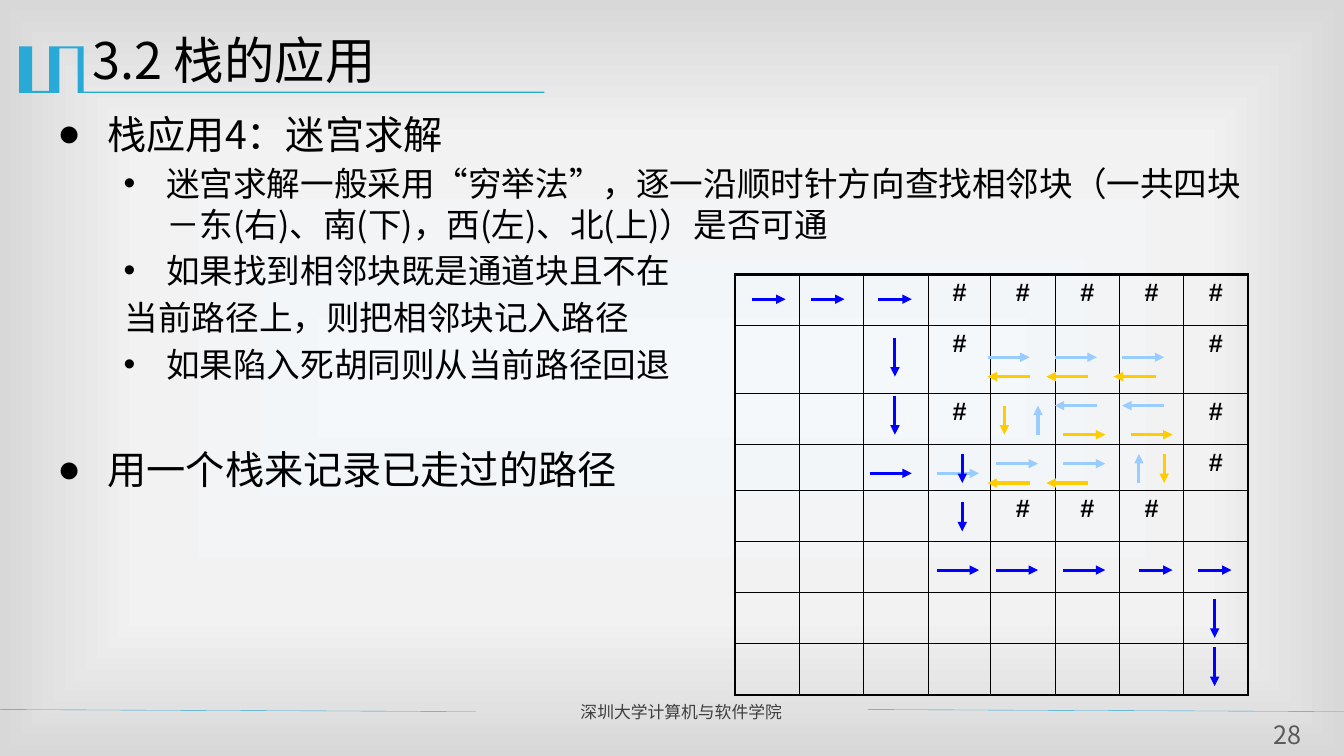
from typing import NamedTuple

from lxml import etree
from pptx import Presentation
from pptx.dml.color import RGBColor
from pptx.enum.shapes import MSO_CONNECTOR
from pptx.enum.text import MSO_ANCHOR, MSO_AUTO_SIZE, PP_ALIGN
from pptx.oxml.ns import qn
from pptx.util import Cm, Pt

STRAIGHT = MSO_CONNECTOR.STRAIGHT
TOP, MIDDLE = MSO_ANCHOR.TOP, MSO_ANCHOR.MIDDLE
LEFT, CENTER, JUSTIFY = PP_ALIGN.LEFT, PP_ALIGN.CENTER, PP_ALIGN.JUSTIFY
NO_AUTOFIT = MSO_AUTO_SIZE.NONE

FONT = "Noto Sans CJK SC"
BLACK, ACCENT = "000000", "28A9D6"
PATH, TRIED, BACK = "0000FF", "99CCFF", "FFCC00"


class Line(NamedTuple):
    text: str
    size: float
    margin: float
    indent: float
    bullet: str = ""
    before: float = 0


class Arrow(NamedTuple):
    """Start and end in steps of the arrow grid."""
    x1: int
    y1: int
    x2: int
    y2: int


LINES = [
    Line("栈应用4：迷宫求解", 28, 1.27, -1.27, "●"),
    Line("迷宫求解一般采用“穷举法”，逐一沿顺时针方向查找相邻块"
         "（一共四块－东(右)、南(下)，西(左)、北(上)）是否可通", 24, 2.74, -1.07, "•", 4.5),
    Line("如果找到相邻块既是通道块且不在", 24, 2.74, -1.07, "•", 4.5),
    Line("当前路径上，则把相邻块记入路径", 24, 1.7, 0, "", 4.5),
    Line("如果陷入死胡同则从当前路径回退", 24, 2.74, -1.07, "•", 4.5),
    Line("用一个栈来记录已走过的路径", 28, 1.27, -1.27, "●", 44),
]
MAZE = ["...#####", "...#...#", "...#...#", ".......#",
        "....###.", "........", "........", "........"]
COLS = [1.62, 1.62, 1.63, 1.58, 1.62, 1.62, 1.62, 1.62]
ROWS = [1.28, 1.71, 1.29, 1.16, 1.28, 1.29, 1.29, 1.29]
ARROWS = {
    TRIED: [(22, 18, 27, 18), (29, 17, 34, 17), (37, 17, 42, 17), (46, 19, 46, 16),
            (49, 11, 44, 11), (41, 11, 36, 11), (34, 14, 34, 11), (28, 6, 33, 6),
            (36, 6, 41, 6), (44, 6, 49, 6)],
    BACK: [(48, 8, 43, 8), (40, 8, 35, 8), (33, 8, 28, 8), (30, 11, 30, 14),
           (37, 14, 42, 14), (45, 14, 50, 14), (49, 16, 49, 19), (40, 19, 35, 19),
           (33, 19, 28, 19)],
    PATH: [(0, 0, 4, 0), (7, 0, 11, 0), (15, 0, 19, 0), (17, 4, 17, 8),
           (17, 10, 17, 14), (14, 18, 19, 18), (25, 16, 25, 19), (25, 21, 25, 24),
           (22, 28, 27, 28), (29, 28, 34, 28), (37, 28, 42, 28), (46, 28, 50, 28),
           (53, 28, 57, 28), (55, 31, 55, 35), (55, 36, 55, 40)],
}
LOGO = [(2.08, 1.17), (2.11, 1.17), (2.11, 2.31), (13.72, 2.31), (13.72, 2.34),
        (1.96, 2.34), (1.96, 1.22), (1.5, 1.22), (1.5, 2.34), (0.48, 2.34),
        (0.48, 1.17), (0.81, 1.17), (0.81, 2.29), (1.24, 2.29), (1.24, 1.17)]


def rgb(color: str) -> RGBColor:
    return RGBColor.from_string(color)


def add_el(parent, tag: str, **attrs):
    return etree.SubElement(parent, qn(tag), attrs)


def write(p, text: str, *, size: float, color: str = BLACK, font: str = FONT,
          bold: bool = False, align=LEFT) -> None:
    p.alignment = align
    r = p.add_run()
    r.text = text
    r.font.size, r.font.bold, r.font.name = Pt(size), bold, font
    r.font.color.rgb = rgb(color)
    add_el(r.font._element, "a:ea", typeface=font)


def place(sp, left: float, top: float, width: float, height: float) -> None:
    sp.left, sp.top, sp.width, sp.height = Cm(left), Cm(top), Cm(width), Cm(height)


def add_line(slide, x1: float, y1: float, x2: float, y2: float, color: str,
             width: float, arrow: bool = False) -> None:
    sp = slide.shapes.add_connector(STRAIGHT, Cm(x1), Cm(y1), Cm(x2), Cm(y2))
    sp.line.color.rgb, sp.line.width = rgb(color), Pt(width)
    if arrow:
        add_el(sp.line._get_or_add_ln(), "a:tailEnd", type="triangle")
    add_el(sp._element.spPr, "a:effectLst")


def add_border(tcPr, side: str, width: float) -> None:
    ln = add_el(tcPr, f"a:ln{side}", w=str(Pt(width)))
    add_el(add_el(ln, "a:solidFill"), "a:srgbClr", val=BLACK)


def set_background(slide) -> None:
    slide.background.fill.gradient()
    grad = slide.element.find(".//" + qn("a:gradFill"))
    for child in list(grad):
        grad.remove(child)
    stops = add_el(grad, "a:gsLst")
    for pos, color in ((0, "F4F8FB"), (63, "F2F2F2"), (100, "D8D8D8")):
        add_el(add_el(stops, "a:gs", pos=str(pos * 1000)), "a:srgbClr", val=color)
    path = add_el(grad, "a:path", path="rect")
    add_el(path, "a:fillToRect", **dict.fromkeys("ltrb", "50000"))


def add_decoration(slide) -> None:
    builder = slide.shapes.build_freeform(Cm(LOGO[0][0]), Cm(LOGO[0][1]))
    builder.add_line_segments([(Cm(x), Cm(y)) for x, y in LOGO[1:]])
    sp = builder.convert_to_shape()
    sp.shadow.inherit = False
    sp.fill.solid()
    sp.fill.fore_color.rgb = rgb(ACCENT)
    sp.line.fill.background()
    for left in (0, 21.87):
        add_line(slide, left, 17.88, left + 12, 17.93, ACCENT, 0.25)


def add_text(slide, box: tuple, text: str, inset: bool = True, **fmt) -> None:
    sp = slide.shapes.add_textbox(*map(Cm, box))
    tf = sp.text_frame
    tf.word_wrap = True
    if not inset:
        tf.margin_left = tf.margin_right = tf.margin_top = tf.margin_bottom = 0
        tf.vertical_anchor = MIDDLE
    write(tf.paragraphs[0], text, **fmt)


def fill_placeholders(slide) -> None:
    title, body = slide.shapes.title, slide.placeholders[1]
    place(title, 2.08, 0.61, 30.48, 2.21)
    place(body, 1.19, 2.64, 30.81, 14.3)
    for sp in (title, body):
        tf = sp.text_frame
        tf.auto_size, tf.vertical_anchor, tf.word_wrap = NO_AUTOFIT, TOP, True
    write(title.text_frame.paragraphs[0], "3.2 栈的应用", size=36)

    tf = body.text_frame
    for i, line in enumerate(LINES):
        p = tf.add_paragraph() if i else tf.paragraphs[0]
        p.space_before = Pt(line.before)
        pPr = p._p.get_or_add_pPr()
        pPr.set("marL", str(Cm(line.margin)))
        pPr.set("indent", str(Cm(line.indent)))
        if line.bullet:
            add_el(pPr, "a:buFont", typeface="Arial")
            add_el(pPr, "a:buChar", char=line.bullet)
        else:
            add_el(pPr, "a:buNone")
        write(p, line.text, size=line.size)


def add_maze(slide) -> None:
    n_rows, n_cols = len(ROWS), len(COLS)
    table = slide.shapes.add_table(n_rows, n_cols, Cm(18.52), Cm(6.92),
                                   Cm(sum(COLS)), Cm(sum(ROWS))).table
    table.first_row = table.horz_banding = False
    for column, width in zip(table.columns, COLS):
        column.width = Cm(width)
    for row, height in zip(table.rows, ROWS):
        row.height = Cm(height)
    for i, marks in enumerate(MAZE):
        for j, mark in enumerate(marks):
            cell = table.cell(i, j)
            if mark == "#":
                cell.margin_left = cell.margin_right = cell.margin_bottom = 0
                cell.margin_top = Cm(0.1)
                write(cell.text_frame.paragraphs[0], mark, size=18, font="Arial",
                      bold=True, align=CENTER)
            outer = {"L": j == 0, "R": j == n_cols - 1, "T": i == 0, "B": i == n_rows - 1}
            for side, is_outer in outer.items():
                add_border(cell._tc.get_or_add_tcPr(), side, 2.25 if is_outer else 1)
            cell.fill.background()


def add_arrows(slide) -> None:
    step_x, step_y = 11.66 / 55, 9.75 / 40
    for color, steps in ARROWS.items():
        for a in (Arrow(*s) for s in steps):
            add_line(slide, 18.95 + a.x1 * step_x, 7.54 + a.y1 * step_y,
                     18.95 + a.x2 * step_x, 7.54 + a.y2 * step_y, color, 2.25, True)


def main() -> None:
    prs = Presentation()
    prs.slide_width, prs.slide_height = Cm(33.87), Cm(19.05)
    slide = prs.slides.add_slide(prs.slide_layouts[1])
    set_background(slide)
    add_decoration(slide)
    fill_placeholders(slide)
    # Footer and page number
    add_text(slide, (14.38, 17.55, 7.24, 0.76), "深圳大学计算机与软件学院",
             size=12, color="3F3F3F", align=JUSTIFY)
    add_text(slide, (31.7, 18.11, 1.5, 0.79), "28", inset=False,
             size=18, color="595959", align=CENTER)
    # Maze with the search path
    add_maze(slide)
    add_arrows(slide)
    prs.save("out.pptx")


if __name__ == "__main__":
    main()
